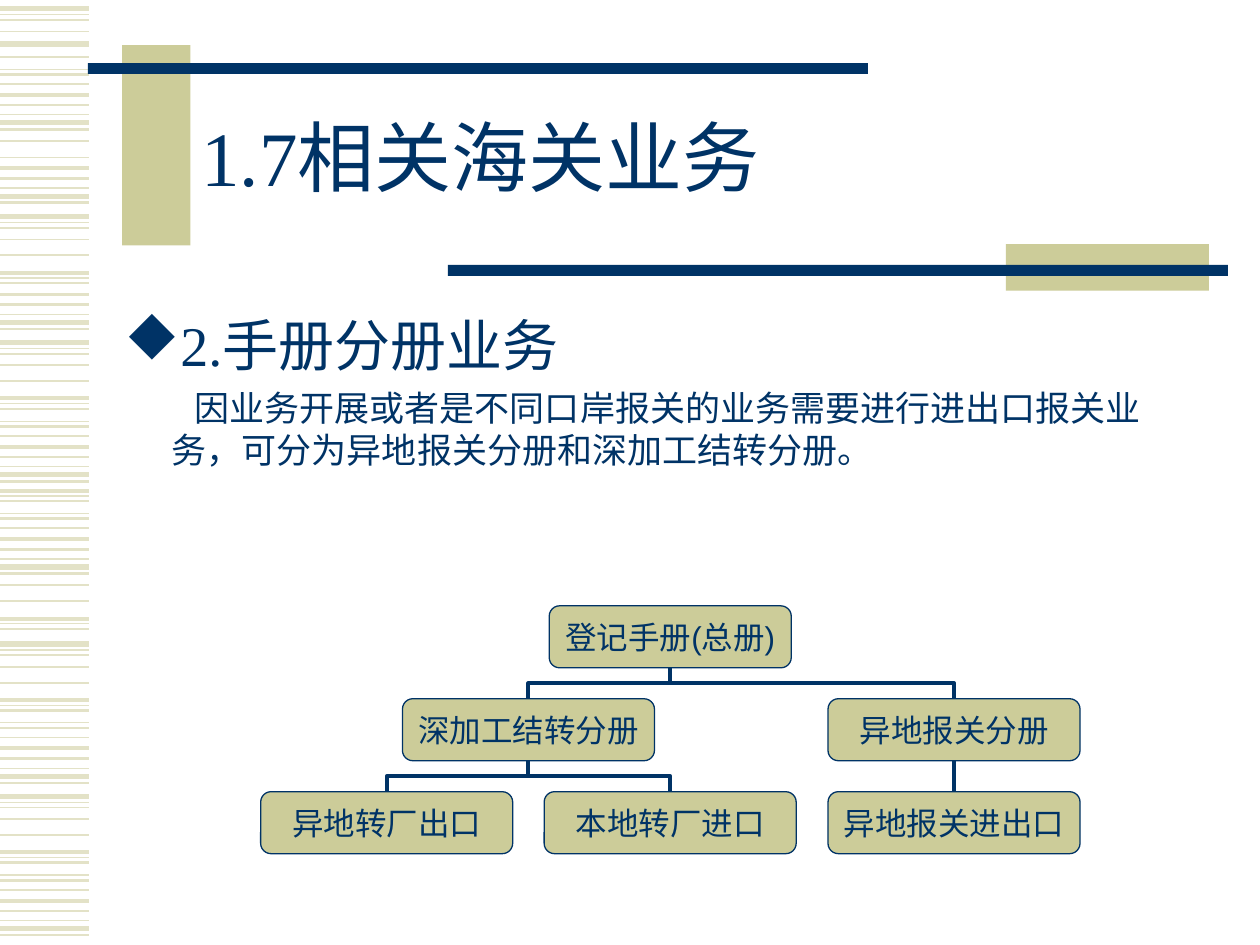
"""Build the customs handbook slide with its striped margin and organisation chart."""
from dataclasses import dataclass

from lxml import etree
from pptx import Presentation
from pptx.dml.color import RGBColor
from pptx.enum.shapes import MSO_CONNECTOR, MSO_SHAPE
from pptx.enum.text import MSO_ANCHOR, PP_ALIGN
from pptx.oxml.ns import qn
from pptx.util import Pt

RECT, ROUNDED = MSO_SHAPE.RECTANGLE, MSO_SHAPE.ROUNDED_RECTANGLE
STRAIGHT, ELBOW = MSO_CONNECTOR.STRAIGHT, MSO_CONNECTOR.ELBOW
TOP, MIDDLE = MSO_ANCHOR.TOP, MSO_ANCHOR.MIDDLE
CENTER = PP_ALIGN.CENTER


@dataclass(frozen=True)
class Theme:
    navy: RGBColor = RGBColor(0x00, 0x33, 0x66)
    khaki: RGBColor = RGBColor(0xCC, 0xCC, 0x99)
    stripe: RGBColor = RGBColor(0xE3, 0xE2, 0xC7)
    serif: str = "Times New Roman"
    sans: str = "Arial"
    symbol: str = "Wingdings"
    title: float = 44
    heading: float = 32
    body: float = 20
    node: float = 18


@dataclass(frozen=True)
class Stripe:
    offset: float
    weight: float


@dataclass(frozen=True)
class StripeRun:
    base: float
    first: int
    stop: int


@dataclass(frozen=True)
class Bar:
    x: float
    y: float
    w: float
    h: float
    color: RGBColor


@dataclass(frozen=True)
class Node:
    text: str
    center: float
    level: int
    width: float = 144
    children: tuple = ()

    @property
    def top(self) -> float:
        return CHART_TOP + self.level * LEVEL_STEP


THEME = Theme()
CHART_TOP, LEVEL_STEP, NODE_HEIGHT = 346.2, 53.1, 35.4
STRIPE_WIDTH = 51

MOTIF = [Stripe(*pair) for pair in (
    (0, 3), (3.4, 0.75), (6.4, 1), (13, 1), (22.1, 1), (32, 2.25),
    (35, 0.75), (38, 1.5), (45, 0.75), (48, 1.5), (53.5, 1), (59.7, 2.25),
    (65.5, 1.5), (71, 0.75), (75.6, 3), (79.4, 1.5))]
RUNS = [StripeRun(*run) for run in (
    (5, 0, 4), (-50.4, 14, 15), (-5.4, 7, 16), (58.5, 4, 5), (36.5, 10, 16),
    (123.8, 0, 8), (108.6, 11, 16), (195.7, 0, 16), (248.4, 5, 16),
    (321.5, 3, 8), (368, 0, 16), (455, 0, 16))]
BARS = [
    Bar(69.8, 25.8, 39, 114.4, THEME.khaki),
    Bar(50.2, 36, 445.7, 6.2, THEME.navy),
    Bar(574.8, 139.5, 116, 26.6, THEME.khaki),
    Bar(256, 151.4, 445.7, 6.2, THEME.navy),
]
ROOT = Node("登记手册(总册)", 383, 0, 138.3, (
    Node("深加工结转分册", 302, 1, children=(
        Node("异地转厂出口", 221, 2),
        Node("本地转厂进口", 383, 2))),
    Node("异地报关分册", 545.2, 1, children=(
        Node("异地报关进出口", 545.2, 2),))))


def add_line(s, kind, x1: float, y1: float, x2: float, y2: float,
             color: RGBColor, weight: float):
    c = s.shapes.add_connector(kind, Pt(x1), Pt(y1), Pt(x2), Pt(y2))
    c.line.color.rgb = color
    c.line.width = Pt(weight)
    etree.SubElement(c._element.spPr, qn("a:effectLst"))
    return c


def add_stripes(s) -> None:
    for run in RUNS:
        for stripe in MOTIF[run.first:run.stop]:
            y = run.base + stripe.offset
            add_line(s, STRAIGHT, 0, y, STRIPE_WIDTH, y, THEME.stripe, stripe.weight)


def add_box(s, kind, x: float, y: float, w: float, h: float, color: RGBColor):
    sp = s.shapes.add_shape(kind, Pt(x), Pt(y), Pt(w), Pt(h))
    sp.shadow.inherit = False
    sp.fill.solid()
    sp.fill.fore_color.rgb = color
    sp.line.fill.background()
    return sp


def style(p, font: str, size: float) -> None:
    p.font.name = font
    p.font.size = Pt(size)
    p.font.color.rgb = THEME.navy


def add_branch(s, parent: Node, child: Node) -> None:
    top, bottom = parent.top + NODE_HEIGHT, child.top
    run, drop = abs(child.center - parent.center), bottom - top
    if not run:
        add_line(s, STRAIGHT, parent.center, top, child.center, bottom, THEME.navy, 2.25)
        return
    x = (parent.center + child.center - drop) / 2
    y = (top + bottom - run) / 2
    ends = (y + run, y) if child.center > parent.center else (y, y + run)
    c = add_line(s, ELBOW, x, ends[0], x + drop, ends[1], THEME.navy, 2.25)
    c._element.spPr.find(qn("a:xfrm")).set("rot", "5400000")


def add_tree(s, node: Node) -> None:
    for child in node.children:
        add_branch(s, node, child)
        add_tree(s, child)
    sp = add_box(s, ROUNDED, node.center - node.width / 2, node.top,
                 node.width, NODE_HEIGHT, THEME.khaki)
    sp.adjustments[0] = 0.167
    sp.line.color.rgb = THEME.navy
    sp.line.width = Pt(0.75)
    tf = sp.text_frame
    tf.word_wrap = False
    tf.vertical_anchor = MIDDLE
    p = tf.paragraphs[0]
    p.text = node.text
    p.alignment = CENTER
    style(p, THEME.sans, THEME.node)


def add_text(s, x: float, y: float, w: float, h: float, anchor):
    tf = s.shapes.add_textbox(Pt(x), Pt(y), Pt(w), Pt(h)).text_frame
    tf.word_wrap = True
    tf.vertical_anchor = anchor
    return tf


def indent(p, left: float, first: float) -> None:
    pPr = p._p.get_or_add_pPr()
    pPr.set("marL", str(Pt(left)))
    pPr.set("indent", str(Pt(first)))
    pPr.set("hangingPunct", "0")


def add_bullet(p, char: str) -> None:
    run_style = p._p.get_or_add_pPr().find(qn("a:defRPr"))
    run_style.addprevious(etree.Element(qn("a:buFont"), typeface=THEME.symbol, charset="2"))
    run_style.addprevious(etree.Element(qn("a:buChar"), char=char))


def add_title(s) -> None:
    p = add_text(s, 108, 48.2, 581, 90, MIDDLE).paragraphs[0]
    p.text = "1.7相关海关业务"
    p.line_spacing = 0.85
    style(p, THEME.serif, THEME.title)


def add_body(s) -> None:
    tf = add_text(s, 64, 174.2, 626.4, 305.3, TOP)
    p = tf.paragraphs[0]
    p.text = "2.手册分册业务"
    p.space_before = Pt(8)
    style(p, THEME.serif, THEME.heading)
    indent(p, 27, -27)
    add_bullet(p, "u")
    p = tf.add_paragraph()
    p.text = "因业务开展或者是不同口岸报关的业务需要进行进出口报关业务，可分为异地报关分册和深加工结转分册。"
    p.space_before = Pt(5)
    style(p, THEME.serif, THEME.body)
    indent(p, 27, 13)


def main() -> None:
    prs = Presentation()
    prs.slide_width, prs.slide_height = Pt(720), Pt(540)
    s = prs.slides.add_slide(prs.slide_layouts[6])
    add_stripes(s)
    for bar in BARS:
        add_box(s, RECT, bar.x, bar.y, bar.w, bar.h, bar.color)
    add_title(s)
    add_body(s)
    add_tree(s, ROOT)
    prs.save("out.pptx")


if __name__ == "__main__":
    main()
